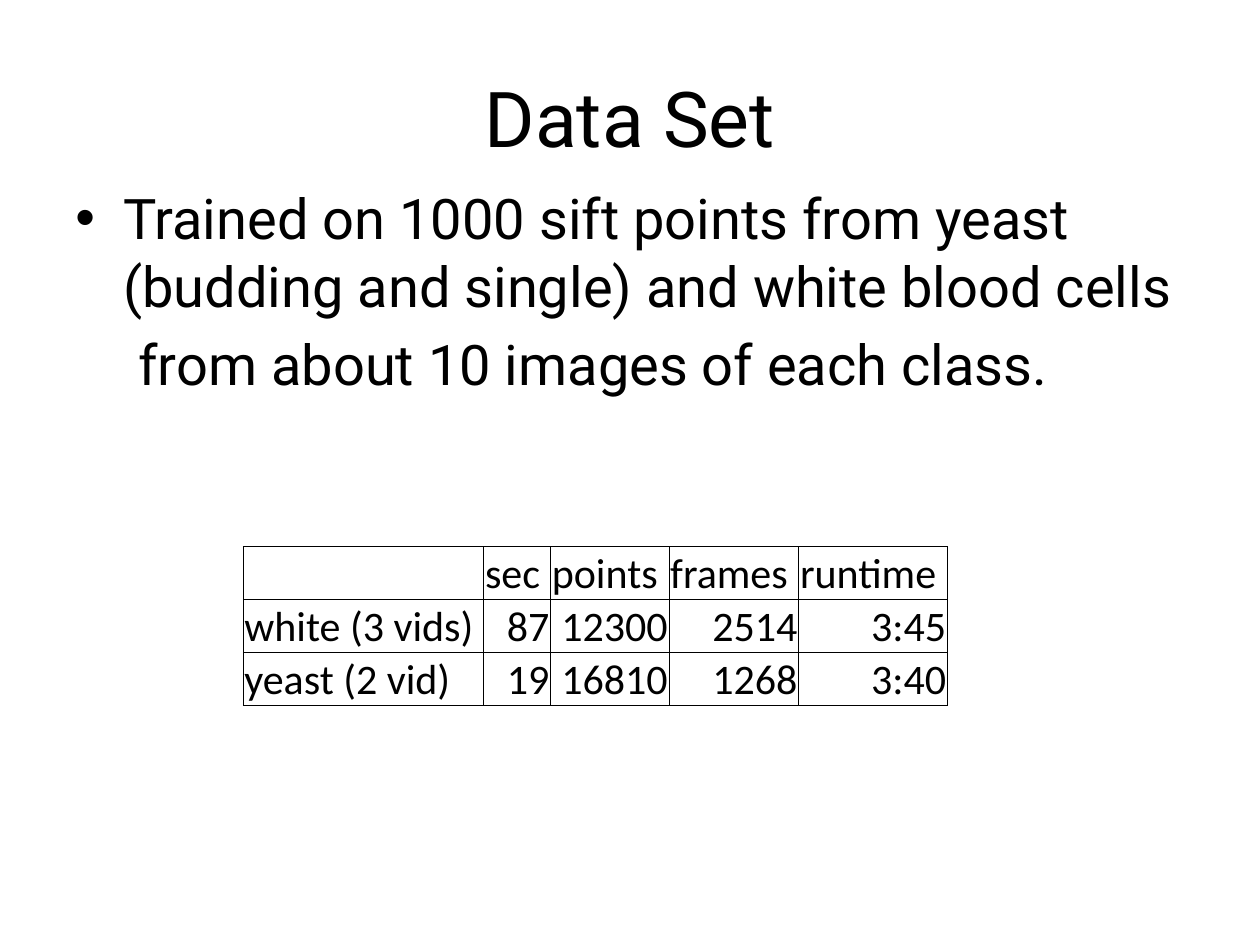
from lxml.etree import SubElement
from pptx import Presentation
from pptx.dml.color import RGBColor
from pptx.enum.text import MSO_ANCHOR, PP_ALIGN
from pptx.oxml import parse_xml
from pptx.oxml.ns import nsdecls, qn
from pptx.util import Inches, Pt

BLACK = RGBColor(0, 0, 0)
WHITE = RGBColor(255, 255, 255)
COLUMN_WIDTHS = [1.91, 0.53, 0.94, 1.03, 1.18]
ROW_HEIGHT = 0.42
RUN_STATISTICS = [
    ["", "sec", "points", "frames", "runtime"],
    ["white (3 vids)", "87", "12300", "2514", "3:45"],
    ["yeast (2 vid)", "19", "16810", "1268", "3:40"],
]


def style_text(para, font_name, size):
    """Give every run of a paragraph its font."""
    for span in para.runs:
        span.font.name = font_name
        span.font.size = Pt(size)
        span.font.color.rgb = BLACK


def add_text_box(page, left, top, width, height):
    """Add a wrapping text box and return its text frame."""
    box = page.shapes.add_textbox(*map(Inches, (left, top, width, height)))
    box.text_frame.word_wrap = True
    return box.text_frame


def add_title(page, text):
    """Add the centred heading."""
    frame = add_text_box(page, 0.5, 0.3, 9, 1.25)
    frame.vertical_anchor = MSO_ANCHOR.MIDDLE
    frame.text = text
    frame.paragraphs[0].alignment = PP_ALIGN.CENTER
    style_text(frame.paragraphs[0], "Roboto", 44)


def add_body(page, bullet_text, tabbed_text):
    """Add a bulleted paragraph followed by a tabbed one."""
    frame = add_text_box(page, 0.5, 1.41, 9, 4.95)
    frame.text = bullet_text
    bullet = frame.paragraphs[0]
    tabbed = frame.add_paragraph()
    tabbed.text = "\t" + tabbed_text
    for para in (bullet, tabbed):
        para.space_before = Pt(6.4)
        style_text(para, "Roboto", 32)
    properties = bullet._p.get_or_add_pPr()
    properties.set("marL", str(Inches(0.38)))
    properties.set("indent", str(-Inches(0.38)))
    SubElement(properties, qn("a:buFont"), typeface="Arial")
    SubElement(properties, qn("a:buChar"), char="•")
    stops = SubElement(tabbed._p.get_or_add_pPr(), qn("a:tabLst"))
    SubElement(stops, qn("a:tab"), pos=str(Inches(0.5)), algn="l")


def add_borders(cell):
    """Draw a thin line on all four sides of a cell."""
    properties = cell._tc.get_or_add_tcPr()
    for index, side in enumerate("LRTB"):
        properties.insert(index, parse_xml(
            f'<a:ln{side} {nsdecls("a")} w="{Pt(0.5)}"><a:solidFill>'
            f'<a:srgbClr val="{BLACK}"/></a:solidFill></a:ln{side}>'))


def fill_cell(cell, text, alignment):
    """Write and format one table cell."""
    cell.fill.background()
    cell.vertical_anchor = MSO_ANCHOR.BOTTOM
    cell.margin_left = cell.margin_right = cell.margin_top = Inches(0.01)
    cell.margin_bottom = 0
    cell.text = text
    para = cell.text_frame.paragraphs[0]
    para.alignment = alignment
    style_text(para, "Calibri", 24)
    add_borders(cell)


def add_statistics_table(page, records):
    """Add the bordered table with right-aligned figures."""
    size = (sum(COLUMN_WIDTHS), ROW_HEIGHT * len(records))
    table = page.shapes.add_table(
        len(records), len(COLUMN_WIDTHS),
        *map(Inches, (1.93, 4.34, *size))).table
    table.first_row = table.horz_banding = False
    for column, width in zip(table.columns, COLUMN_WIDTHS):
        column.width = Inches(width)
    for row, record in enumerate(records):
        table.rows[row].height = Inches(ROW_HEIGHT)
        for column, text in enumerate(record):
            is_figure = row > 0 and column > 0
            alignment = PP_ALIGN.RIGHT if is_figure else PP_ALIGN.LEFT
            fill_cell(table.cell(row, column), text, alignment)


def main():
    """Build and save the data set slide."""
    deck = Presentation()
    deck.slide_width, deck.slide_height = Inches(10), Inches(7.5)
    page = deck.slides.add_slide(deck.slide_layouts[6])
    page.background.fill.solid()
    page.background.fill.fore_color.rgb = WHITE
    add_title(page, "Data Set")
    add_body(page,
             "Trained on 1000 sift points from yeast (budding and single) "
             "and white blood cells",
             "from about 10 images of each class.")
    add_statistics_table(page, RUN_STATISTICS)
    deck.save("out.pptx")


if __name__ == "__main__":
    main()
